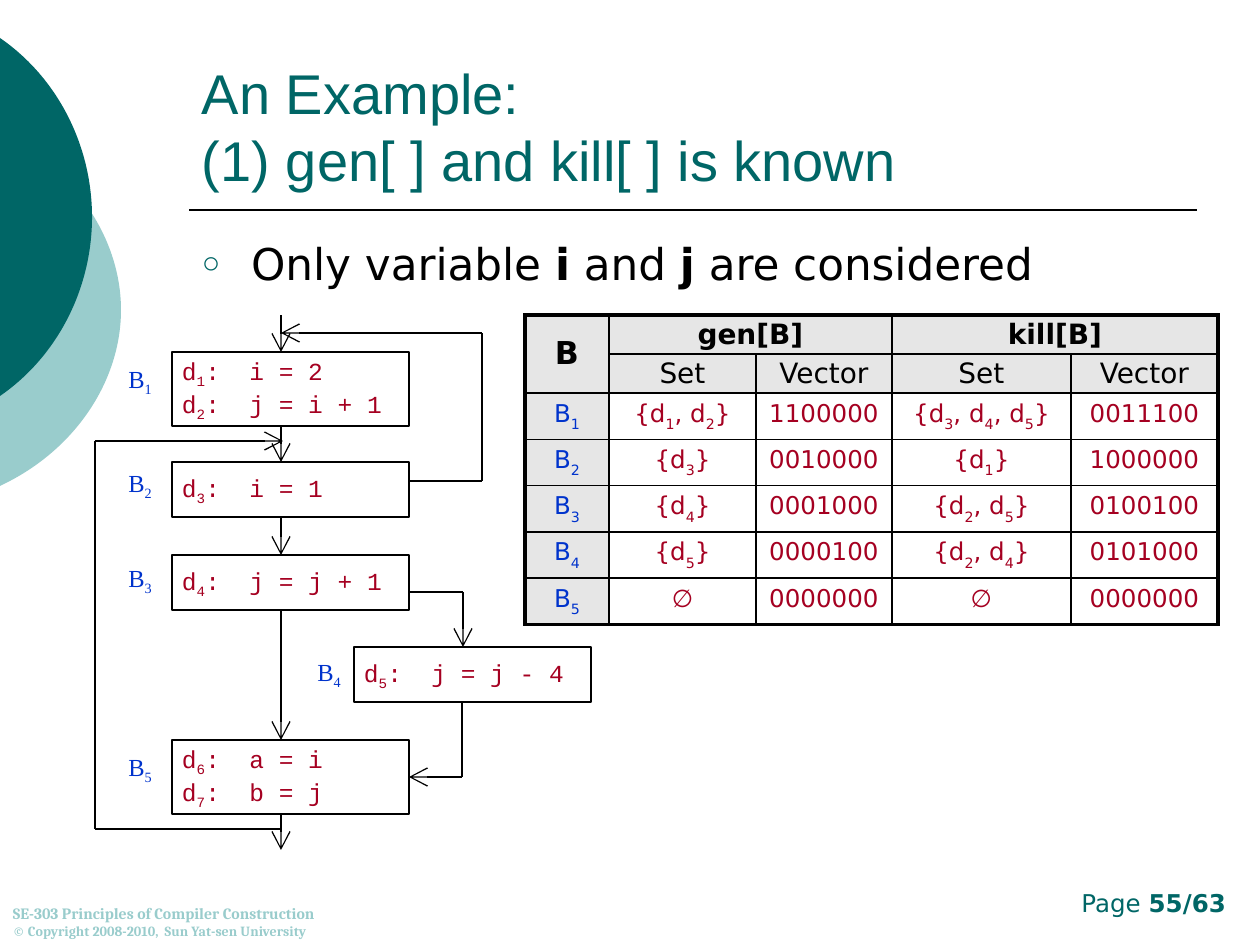
import lxml.etree
import pptx
import pptx.dml.color
import pptx.enum.shapes
import pptx.enum.text
import pptx.oxml.ns
import pptx.util

RGB = pptx.dml.color.RGBColor
TEAL = RGB(0x00, 0x66, 0x66)
PALE = RGB(0x99, 0xCC, 0xCC)
RED = RGB(0xA5, 0x00, 0x21)
BLUE = RGB(0x00, 0x33, 0xCC)
GREY = RGB(0xE6, 0xE6, 0xE6)
BLACK = RGB(0, 0, 0)
WHITE = RGB(255, 255, 255)

SANS = "DejaVu Sans"
ALIGN = pptx.enum.text.PP_ALIGN
ANCHOR = pptx.enum.text.MSO_ANCHOR
SCALE = 914400 / 126


def emu(*sizes):
    return [round(size * SCALE) for size in sizes]


def child(node, tag, **attrs):
    return lxml.etree.SubElement(node, pptx.oxml.ns.qn(tag), attrs)


class Deck:
    def __init__(self):
        self.show = pptx.Presentation()
        self.show.slide_width, self.show.slide_height = emu(1260, 945)
        self.slide = self.show.slides.add_slide(self.show.slide_layouts[1])
        self.shapes = self.slide.shapes

    def style(self, para, font, size, color, bold=False, align=ALIGN.LEFT):
        para.alignment = align
        for run in para.runs:
            run.font.name = font
            run.font.size = pptx.util.Pt(size)
            run.font.color.rgb = color
            run.font.bold = bold

    def marked(self, para, text, drop, *look):
        parts = text.split("~")
        para.text = parts[0]
        for part in filter(None, parts[1:]):
            para.add_run().text = part
        self.style(para, *look)
        for run in para.runs[1::2]:
            if drop:
                run._r.get_or_add_rPr().set("baseline", str(-1000 * drop))
            else:
                run.font.bold = True

    def frame(self, shape, anchor, side=13):
        frame = shape.text_frame
        frame.word_wrap = True
        frame.auto_size = pptx.enum.text.MSO_AUTO_SIZE.NONE
        frame.vertical_anchor = anchor
        frame.margin_left = frame.margin_right = emu(side)[0]
        frame.margin_top = frame.margin_bottom = emu(6)[0]
        return frame

    def place(self, shape, *area):
        shape.left, shape.top, shape.width, shape.height = emu(*area)

    def title(self, text, *area):
        shape = self.shapes.title
        self.place(shape, *area)
        frame = self.frame(shape, ANCHOR.BOTTOM)
        frame.text = text
        self.style(frame.paragraphs[0], "Arial", 32, TEAL)

    def body(self, text, *area):
        shape = self.slide.placeholders[1]
        self.place(shape, *area)
        para = self.frame(shape, ANCHOR.TOP).paragraphs[0]
        props = para._p.get_or_add_pPr()
        indent = emu(49)[0]
        props.set("marL", str(indent))
        props.set("indent", str(-indent))
        child(child(props, "a:buClr"), "a:srgbClr", val=str(TEAL))
        child(props, "a:buSzPct", val="70000")
        child(props, "a:buChar", char="○")
        para.space_before = pptx.util.Pt(0)
        self.marked(para, text, 0, SANS, 25, BLACK)

    def text(self, lines, area, anchor, *look, drop=0, side=13):
        shape = self.shapes.add_textbox(*emu(*area))
        frame = self.frame(shape, anchor, side)
        frame.text = "\n".join(lines)
        for para, line in zip(frame.paragraphs, lines):
            self.marked(para, line, drop, *look)
        return frame

    def block(self, lines, *area):
        kind = pptx.enum.shapes.MSO_SHAPE.RECTANGLE
        shape = self.shapes.add_shape(kind, *emu(*area))
        shape.shadow.inherit = False
        shape.fill.solid()
        shape.fill.fore_color.rgb = WHITE
        shape.line.color.rgb = BLACK
        shape.line.width = pptx.util.Pt(0.75)
        frame = self.frame(shape, ANCHOR.MIDDLE, 10)
        frame.text = "\n".join(lines)
        for para, line in zip(frame.paragraphs, lines):
            self.marked(para, line, 25, "Courier New", 14, RED, False, ALIGN.JUSTIFY)

    def line(self, start, end, width=0.75):
        kind = pptx.enum.shapes.MSO_CONNECTOR.STRAIGHT
        line = self.shapes.add_connector(kind, *emu(*start, *end))
        line.line.color.rgb = BLACK
        line.line.width = pptx.util.Pt(width)
        child(line._element.spPr, "a:effectLst")
        return line

    def route(self, *points):
        for start, end in zip(points, points[1:]):
            line = self.line(start, end)
        child(line.line._get_or_add_ln(), "a:tailEnd", type="arrow", w="lg", len="lg")

    def curve(self, area, start, bends, color):
        left, top, width, high = area
        build = self.shapes.build_freeform(*start, scale=SCALE)
        build.add_line_segments([bends[0][-1], bends[-1][-1]], close=True)
        shape = build.convert_to_shape()
        self.place(shape, *area)
        route = shape._element.find(".//" + pptx.oxml.ns.qn("a:path"))
        route.clear()
        route.set("w", str(width))
        route.set("h", str(high))
        steps = [("a:moveTo", [start])] + [("a:cubicBezTo", bend) for bend in bends]
        for tag, points in steps:
            step = child(route, tag)
            for x, y in points:
                child(step, "a:pt", x=str(x - left), y=str(y - top))
        child(route, "a:close")
        shape.shadow.inherit = False
        shape.fill.solid()
        shape.fill.fore_color.rgb = color
        shape.line.fill.background()

    def border(self, cell, thick):
        props = cell._tc.get_or_add_tcPr()
        for side in "LRTB":
            width = pptx.util.Pt(2.25 if side in thick else 1)
            edge = child(props, "a:ln" + side, w=str(width))
            child(child(edge, "a:solidFill"), "a:srgbClr", val=str(BLACK))

    def table(self, rows, cols, highs, merges, left, top):
        area = emu(left, top, sum(cols), sum(highs))
        table = self.shapes.add_table(len(rows), len(cols), *area).table
        table.first_row = table.horz_banding = False
        for col, width in zip(table.columns, emu(*cols)):
            col.width = width
        for row, high in zip(table.rows, emu(*highs)):
            row.height = high
        for first, last in merges:
            table.cell(*first).merge(table.cell(*last))
        for y, row in enumerate(rows):
            for x, text in enumerate(row):
                cell = table.cell(y, x)
                edges = {
                    "L": x == 0,
                    "R": x + cell.span_width == len(cols),
                    "T": y == 0,
                    "B": y + cell.span_height == len(rows),
                }
                self.border(cell, [side for side in edges if edges[side]])
                head = y < 2
                cell.fill.solid()
                cell.fill.fore_color.rgb = GREY if head or x == 0 else WHITE
                if head:
                    cell.vertical_anchor = ANCHOR.MIDDLE
                    cell.margin_left = cell.margin_right = 0
                    cell.margin_top = cell.margin_bottom = 0
                    size = 18 if x == 0 else 16
                    look = (size, BLACK, y == 0)
                else:
                    look = (14, RED if x else BLUE, False)
                if not cell.is_spanned:
                    para = cell.text_frame.paragraphs[0]
                    self.marked(para, text, 30, SANS, *look, ALIGN.CENTER)


def main():
    deck = Deck()
    deck.curve((-446, 94, 567, 431), (0, 134),
               [[(75, 169), (121, 239), (121, 310)],
                [(121, 381), (75, 451), (0, 486)]], PALE)
    deck.curve((-334, 0, 426, 435), (0, 38),
               [[(58, 78), (92, 146), (92, 217)],
                [(92, 288), (58, 356), (0, 396)]], TEAL)
    deck.line((189, 210), (1197, 210), 1)
    deck.text(["Page ~55/63"], (955, 882, 284, 42), ANCHOR.TOP,
              SANS, 14, TEAL, False, ALIGN.RIGHT)
    deck.title("An Example: \v(1) gen[ ] and kill[ ] is known", 189, 42, 1008, 157)
    deck.body("Only variable ~i~ and ~j~ are considered", 189, 231, 1008, 587)

    for left, top, high, lines in [
        (172, 352, 74, ["d~1~:  i = 2", "d~2~:  j = i + 1"]),
        (172, 462, 55, ["d~3~:  i = 1"]),
        (172, 555, 55, ["d~4~:  j = j + 1"]),
        (354, 647, 55, ["d~5~:  j = j - 4"]),
        (172, 740, 74, ["d~6~:  a = i", "d~7~:  b = j"]),
    ]:
        deck.block(lines, left, top, 237, high)

    for top, end in [(315, 352), (426, 462), (517, 555), (610, 740), (814, 850)]:
        deck.route((281, top), (281, end))
    deck.route((409, 592), (463, 592), (463, 647))
    deck.route((462, 703), (462, 777), (409, 777))
    deck.route((281, 829), (95, 829), (95, 441), (283, 441))
    deck.route((409, 481), (482, 481), (482, 333), (281, 333))

    spots = [(105, 347), (105, 451), (105, 546), (294, 640), (105, 735)]
    for num, spot in enumerate(spots, 1):
        deck.text([f"B~{num}"], (*spot, 70, 67), ANCHOR.MIDDLE, "Times New Roman",
                  14, BLUE, False, ALIGN.CENTER, drop=25, side=5)

    rows = [
        ["B", "gen[B]", "", "kill[B]", ""],
        ["", "Set", "Vector", "Set", "Vector"],
        ["B~1", "{d~1~, d~2~}", "1100000", "{d~3~, d~4~, d~5~}", "0011100"],
        ["B~2", "{d~3~}", "0010000", "{d~1~}", "1000000"],
        ["B~3", "{d~4~}", "0001000", "{d~2~, d~5~}", "0100100"],
        ["B~4", "{d~5~}", "0000100", "{d~2~, d~4~}", "0101000"],
        ["B~5", "∅", "0000000", "∅", "0000000"],
    ]
    merges = [((0, 0), (1, 0)), ((0, 1), (0, 2)), ((0, 3), (0, 4))]
    deck.table(rows, [84, 147, 136, 179, 147], [39] * 2 + [42] * 5, merges, 525, 315)

    foot = deck.text(
        ["SE-303 Principles of Compiler Construction",
         "© Copyright 2008-2010,  Sun Yat-sen University"],
        (0, 882, 431, 63), ANCHOR.BOTTOM, "Cambria", 9, PALE, True)
    foot.paragraphs[1].runs[0].font.size = pptx.util.Pt(8)
    deck.show.save("out.pptx")


if __name__ == "__main__":
    main()
